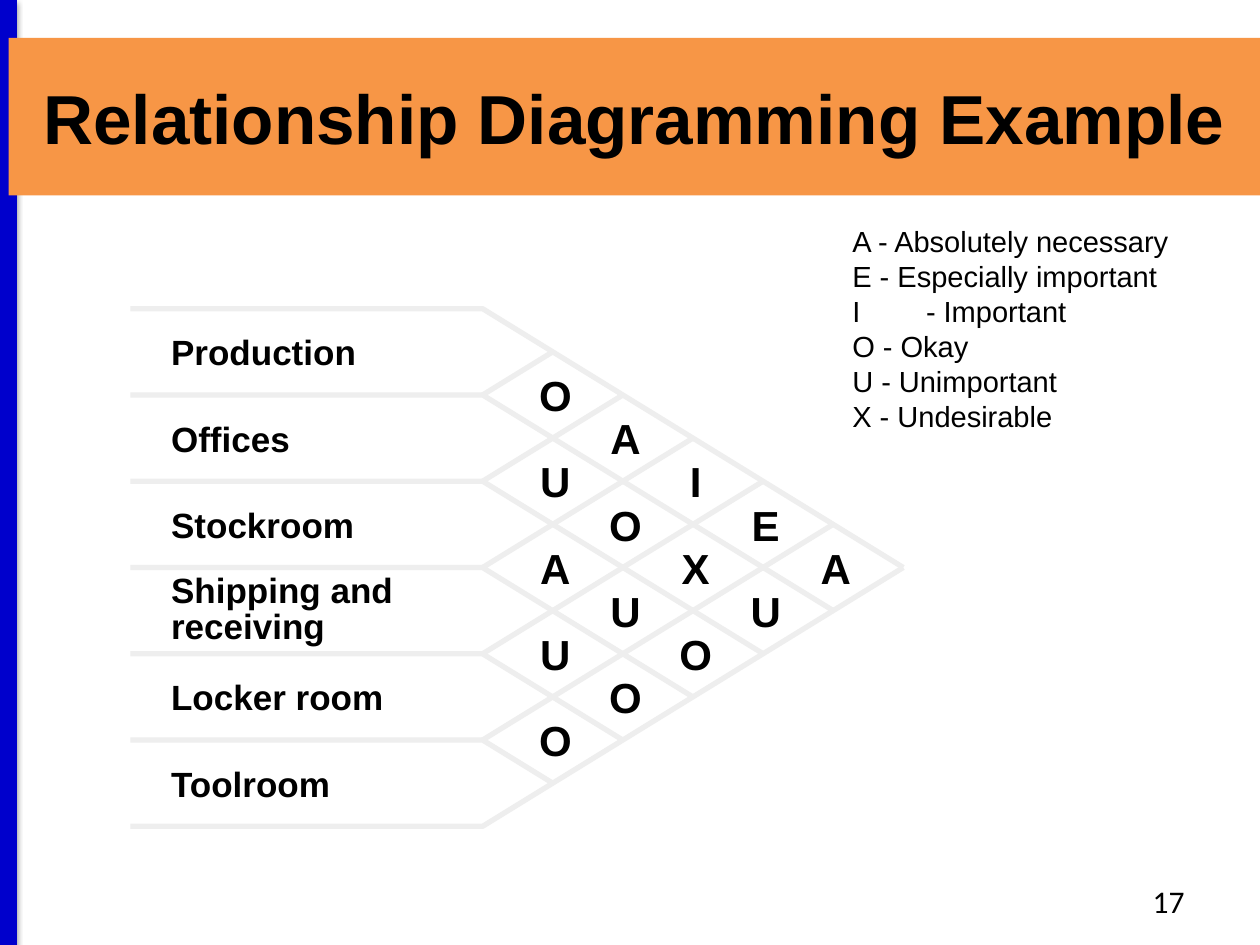
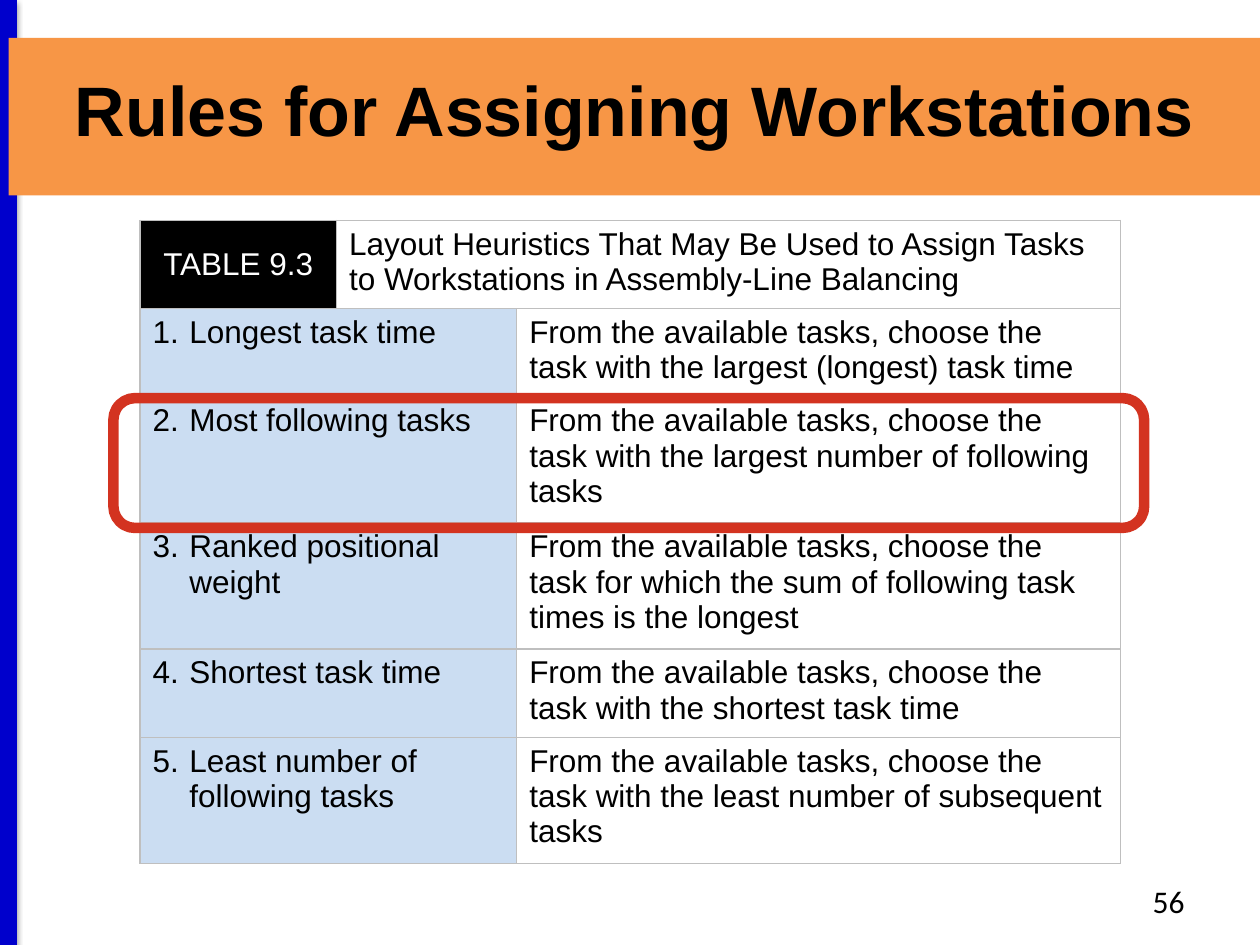
from dataclasses import dataclass
from typing import Optional, Union

from lxml.etree import SubElement
from pptx import Presentation
from pptx.dml.color import RGBColor
from pptx.enum.shapes import MSO_CONNECTOR, MSO_SHAPE
from pptx.enum.text import MSO_ANCHOR, MSO_AUTO_SIZE, PP_ALIGN
from pptx.oxml.ns import qn
from pptx.util import Pt


@dataclass(frozen=True)
class Theme:
    """Colours, fonts and type sizes shared by the slides."""
    stripe: str = "0000CC"
    band: str = "F79646"
    ink: str = "000000"
    paper: str = "FFFFFF"
    grid: str = "EEEEEE"
    rule_fill: str = "CBDDF2"
    border: str = "BFBFBF"
    highlight: str = "D33320"
    font: str = "Arial"
    number_font: str = "Calibri"
    rating_size: float = 24
    department_size: float = 20
    legend_size: float = 16.6
    body_size: float = 18


THEME = Theme()


@dataclass(frozen=True)
class Box:
    left: float
    top: float
    width: float
    height: float

    def lengths(self) -> tuple:
        return Pt(self.left), Pt(self.top), Pt(self.width), Pt(self.height)


@dataclass(frozen=True)
class TextStyle:
    size: float
    font: str = THEME.font
    color: str = THEME.ink
    bold: bool = False
    align: PP_ALIGN = PP_ALIGN.LEFT
    spacing: Optional[Union[float, Pt]] = None
    hanging: float = 0
    center_tab: float = 0


@dataclass(frozen=True)
class Department:
    name: str
    spacing: Optional[float] = None


@dataclass(frozen=True)
class Heuristic:
    name: str
    choice: str
    height: float


TITLE_BOX = Box(5, 21.6, 715, 90)
NUMBER_BOX = Box(516, 500.5, 168, 28.8)
LEGEND_BOX = Box(480, 123.8, 204.5, 134)
HIGHLIGHT_BOX = Box(64.8, 227.5, 589, 74.2)

# Relationship grid: rows on the left, a triangle of ratings on the right
GRID_LEFT, GRID_BEND, GRID_APEX = 74.5, 275.8, 516.2
GRID_TOP, ROW_PITCH = 176.4, 49.3
LABEL_LEFT, LABEL_WIDTH = 90.7, 152
RATING_SHIFT = 1.5

DEPARTMENTS = [
    Department("Production"),
    Department("Offices"),
    Department("Stockroom"),
    Department("Shipping and receiving", spacing=0.85),
    Department("Locker room"),
    Department("Toolroom"),
]
# Ratings by distance between departments, each read from top to bottom
RATINGS = ["OUAUO", "AOUO", "IXO", "EU", "A"]
LEGEND = [
    "A - Absolutely necessary",
    "E - Especially important",
    "I\t - Important",
    "O - Okay",
    "U - Unimportant",
    "X - Undesirable",
]

TABLE_LEFT, TABLE_TOP = 80, 126
COLUMN_WIDTHS = [112.3, 103, 344.9]
CAPTION_HEIGHT = 50.4
CAPTION = ("Layout Heuristics That May Be Used to Assign Tasks "
           "to Workstations in Assembly-Line Balancing")
CHOICE_START = "From the available tasks, choose the task "
HEURISTICS = [
    Heuristic("Longest task time", "with the largest (longest) task time", 50.4),
    Heuristic("Most following tasks", "with the largest number of following tasks", 72),
    Heuristic("Ranked positional weight",
              "for which the sum of following task times is the longest", 72),
    Heuristic("Shortest task time", "with the shortest task time", 50.4),
    Heuristic("Least number of following tasks",
              "with the least number of subsequent tasks", 72),
]


def rgb(color: str) -> RGBColor:
    return RGBColor.from_string(color)


def write(frame, lines: list[str], style: TextStyle) -> None:
    """Fill a text frame, one paragraph a line."""
    frame.text = "\n".join(lines)
    for paragraph in frame.paragraphs:
        paragraph.alignment = style.align
        if style.spacing is not None:
            paragraph.line_spacing = style.spacing
        properties = paragraph._p.get_or_add_pPr()
        if style.hanging:
            properties.set("marL", str(Pt(style.hanging)))
            properties.set("indent", str(-Pt(style.hanging)))
        if style.center_tab:
            tabs = SubElement(properties, qn("a:tabLst"))
            SubElement(tabs, qn("a:tab"), pos=str(Pt(style.center_tab)), algn="ctr")
        paragraph.font.name = style.font
        paragraph.font.size = Pt(style.size)
        paragraph.font.bold = style.bold
        paragraph.font.color.rgb = rgb(style.color)


def add_text(slide, box: Box, lines: list[str], style: TextStyle,
             anchor: MSO_ANCHOR = MSO_ANCHOR.TOP) -> None:
    frame = slide.shapes.add_textbox(*box.lengths()).text_frame
    frame.word_wrap = True
    frame.vertical_anchor = anchor
    write(frame, lines, style)


def add_line(slide, start: tuple, end: tuple, color: str, width: float):
    """Draw a straight line; return it with its empty effect list."""
    line = slide.shapes.add_connector(
        MSO_CONNECTOR.STRAIGHT, *(Pt(value) for value in start + end))
    line.line.color.rgb = rgb(color)
    line.line.width = Pt(width)
    effects = SubElement(line._element.spPr, qn("a:effectLst"))
    return line, effects


def add_stripe(slide) -> None:
    """Draw the shadowed blue edge behind everything else."""
    stripe, effects = add_line(slide, (5, 0), (5, 540), THEME.stripe, 10)
    shadow = SubElement(effects, qn("a:outerShdw"), blurRad=str(Pt(3.1)),
                        dist=str(Pt(1.6)), dir="5400000", rotWithShape="0")
    shade = SubElement(shadow, qn("a:srgbClr"), val=THEME.ink)
    SubElement(shade, qn("a:alpha"), val="38000")
    stripe._element.getparent().insert(2, stripe._element)


def add_slide(deck, heading: str, number: int, heading_size: float,
              heading_spacing: Optional[float] = None):
    """Start a slide with its stripe, title band and slide number."""
    slide = deck.slides.add_slide(deck.slide_layouts[5])
    add_stripe(slide)
    title = slide.shapes.title
    title.left, title.top, title.width, title.height = TITLE_BOX.lengths()
    title.fill.solid()
    title.fill.fore_color.rgb = rgb(THEME.band)
    title.text_frame.auto_size = MSO_AUTO_SIZE.NONE
    title.text_frame.vertical_anchor = MSO_ANCHOR.MIDDLE
    write(title.text_frame, [heading],
          TextStyle(heading_size, bold=True, align=PP_ALIGN.CENTER, spacing=heading_spacing))
    add_text(slide, NUMBER_BOX, [str(number)],
             TextStyle(THEME.body_size, THEME.number_font, align=PP_ALIGN.RIGHT))
    return slide


def add_grid(slide) -> None:
    """Draw row rules that bend into the triangle, and its rising diagonals."""
    rows = len(DEPARTMENTS)
    step = (GRID_APEX - GRID_BEND) / rows
    rise = ROW_PITCH / 2
    for row in range(rows + 1):
        y = GRID_TOP + row * ROW_PITCH
        # The last rule is the triangle's lower edge and runs up to the apex
        steps, turn = (rows, -1) if row == rows else (rows - row, 1)
        path_builder = slide.shapes.build_freeform(Pt(GRID_LEFT), Pt(y))
        path_builder.add_line_segments(
            [(Pt(GRID_BEND), Pt(y)),
             (Pt(GRID_BEND + steps * step), Pt(y + turn * steps * rise))], close=False)
        rule = path_builder.convert_to_shape()
        rule.shadow.inherit = False
        rule.fill.background()
        rule.line.color.rgb = rgb(THEME.grid)
        rule.line.width = Pt(3)
        if 0 < row < rows:
            add_line(slide, (GRID_BEND, y),
                     (GRID_BEND + row * step, y - row * rise), THEME.grid, 3)


def add_ratings(slide) -> None:
    step = (GRID_APEX - GRID_BEND) / len(DEPARTMENTS)
    style = TextStyle(THEME.rating_size, bold=True, align=PP_ALIGN.CENTER)
    for distance, column in enumerate(RATINGS, start=1):
        x = GRID_BEND + distance * step + RATING_SHIFT
        for row, rating in enumerate(column):
            y = GRID_TOP + ROW_PITCH * (row + (distance + 1) / 2)
            add_text(slide, Box(x - 18, y - 18, 36, 36), [rating], style, MSO_ANCHOR.MIDDLE)


def build_relationship_slide(deck) -> None:
    slide = add_slide(deck, "Relationship Diagramming Example", 17, 39.6)
    add_grid(slide)
    add_ratings(slide)
    for row, department in enumerate(DEPARTMENTS):
        label_box = Box(LABEL_LEFT, GRID_TOP + row * ROW_PITCH, LABEL_WIDTH, ROW_PITCH)
        add_text(slide, label_box, [department.name],
                 TextStyle(THEME.department_size, bold=True, spacing=department.spacing),
                 MSO_ANCHOR.MIDDLE)
    add_text(slide, LEGEND_BOX, LEGEND,
             TextStyle(THEME.legend_size, spacing=Pt(20), hanging=37.5, center_tab=8))


def format_cell(cell, fill: Optional[str]) -> None:
    """Set a cell's fill and its four borders."""
    if fill:
        cell.fill.solid()
        cell.fill.fore_color.rgb = rgb(fill)
    else:
        cell.fill.background()
    properties = cell._tc.get_or_add_tcPr()
    for place, side in enumerate(("lnL", "lnR", "lnT", "lnB")):
        border = SubElement(properties, qn(f"a:{side}"), w=str(Pt(1)))
        color = SubElement(border, qn("a:solidFill"))
        SubElement(color, qn("a:srgbClr"), val=THEME.border)
        properties.insert(place, border)


def add_heuristics_table(slide) -> None:
    heights = [CAPTION_HEIGHT] + [heuristic.height for heuristic in HEURISTICS]
    box = Box(TABLE_LEFT, TABLE_TOP, sum(COLUMN_WIDTHS), sum(heights))
    table = slide.shapes.add_table(
        len(heights), len(COLUMN_WIDTHS), *box.lengths()).table
    table.first_row = table.horz_banding = False
    for column, width in zip(table.columns, COLUMN_WIDTHS):
        column.width = Pt(width)
    for row, height in zip(table.rows, heights):
        row.height = Pt(height)

    # Caption row
    body = TextStyle(THEME.body_size)
    tag, caption, caption_end = table.rows[0].cells
    format_cell(tag, THEME.ink)
    format_cell(caption, None)
    format_cell(caption_end, None)
    caption.merge(caption_end)
    tag.vertical_anchor = MSO_ANCHOR.MIDDLE
    write(tag.text_frame, ["TABLE 9.3"],
          TextStyle(THEME.body_size, color=THEME.paper, align=PP_ALIGN.CENTER))
    write(caption.text_frame, [CAPTION], body)

    # One row for each heuristic
    for number, heuristic in enumerate(HEURISTICS, start=1):
        name, name_end, choice = table.rows[number].cells
        format_cell(name, THEME.rule_fill)
        format_cell(name_end, THEME.rule_fill)
        format_cell(choice, None)
        name.merge(name_end)
        write(name.text_frame, [f"{number}.\t{heuristic.name}"],
              TextStyle(THEME.body_size, hanging=21))
        write(choice.text_frame, [CHOICE_START + heuristic.choice], body)


def build_rules_slide(deck) -> None:
    slide = add_slide(deck, "Rules for Assigning Workstations", 56, 40, 0.8)
    add_heuristics_table(slide)
    highlight = slide.shapes.add_shape(MSO_SHAPE.ROUNDED_RECTANGLE, *HIGHLIGHT_BOX.lengths())
    highlight.shadow.inherit = False
    highlight.fill.background()
    highlight.line.color.rgb = rgb(THEME.highlight)
    highlight.line.width = Pt(6)


def main() -> None:
    deck = Presentation()
    deck.slide_width, deck.slide_height = Pt(720), Pt(540)
    build_relationship_slide(deck)
    build_rules_slide(deck)
    deck.save("out.pptx")


if __name__ == "__main__":
    main()
